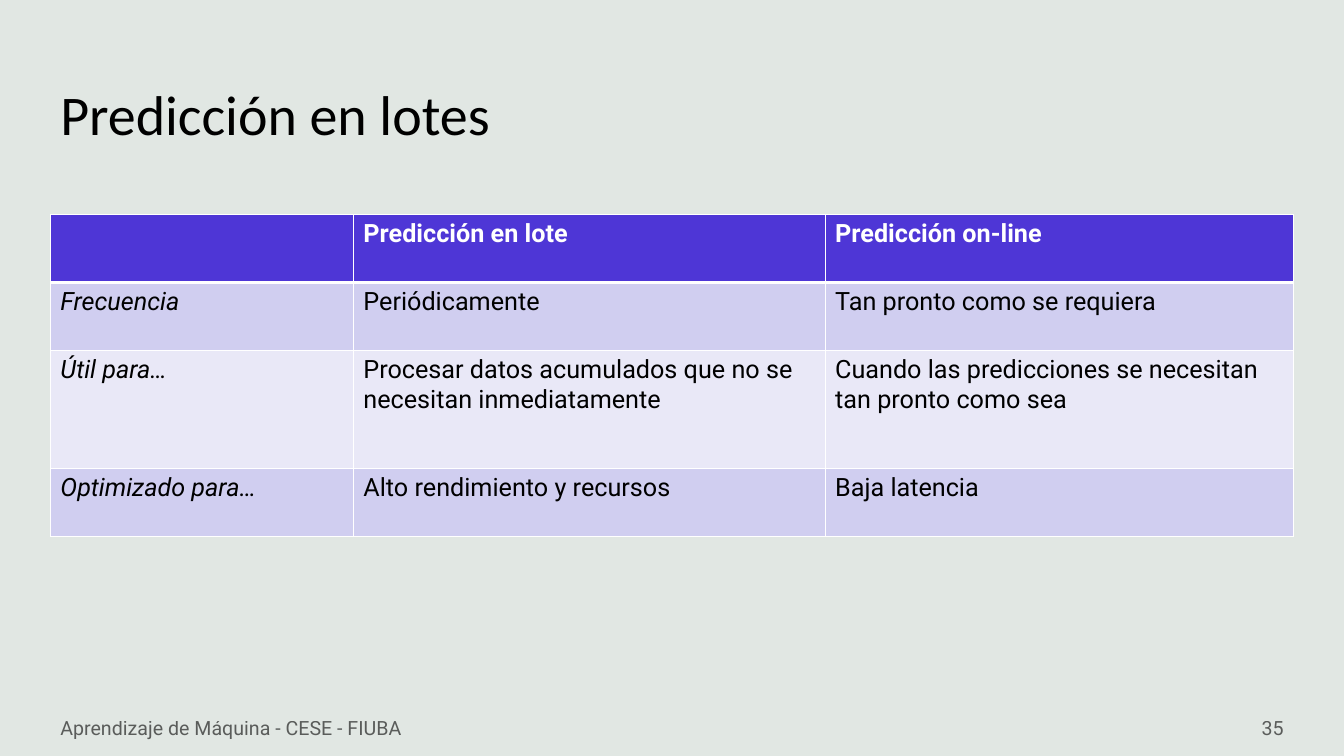
from lxml import etree
from pptx import Presentation
from pptx.dml.color import RGBColor
from pptx.enum.shapes import MSO_SHAPE as SHAPE
from pptx.enum.text import MSO_ANCHOR as ANCHOR, PP_ALIGN as ALIGN
from pptx.oxml.ns import qn
from pptx.util import Pt

BLACK = RGBColor(0x00, 0x00, 0x00)
WHITE = RGBColor(0xFF, 0xFF, 0xFF)
SAGE = RGBColor(0xD5, 0xDE, 0xD8)
VIOLET = RGBColor(0x4E, 0x36, 0xD6)
LILAC = RGBColor(0xD0, 0xCE, 0xF0)
PALE_LILAC = RGBColor(0xE9, 0xE8, 0xF7)


def set_alpha(element, percent):
    """Make the solid colour inside the element partly transparent."""
    color = next(element.iter(qn("a:srgbClr")))
    etree.SubElement(color, qn("a:alpha"), val=str(percent * 1000))


def write(tf, text, size, font, color, bold=False, italic=False):
    p = tf.paragraphs[0]
    r = p.add_run()
    r.text = text
    r.font.color.rgb = color
    style = {"size": Pt(size), "name": font, "bold": bold, "italic": italic}
    for name, value in style.items():
        setattr(r.font, name, value)
    return p, r


prs = Presentation()
prs.slide_width, prs.slide_height = Pt(960), Pt(540)
s = prs.slides.add_slide(prs.slide_layouts[6])

# Background tint
tint = s.shapes.add_shape(SHAPE.RECTANGLE, 0, 0, prs.slide_width, prs.slide_height)
tint.shadow.inherit = False
tint.fill.solid()
tint.fill.fore_color.rgb = SAGE
tint.line.fill.background()
set_alpha(tint.fill._xPr, 70)

# Title and footer: text, box, size, font, alignment, opacity
texts = [
    ("Predicción en lotes", (36, 28.8, 858, 104.4), 40, "Calibri", ALIGN.LEFT, 100),
    ("Aprendizaje de Máquina - CESE - FIUBA", (36, 505.6, 324, 28.8), 14, "Roboto", ALIGN.LEFT, 60),
    ("35", (708, 505.6, 216, 28.8), 14, "Roboto", ALIGN.RIGHT, 60),
]
for text, box, size, font, align, opacity in texts:
    tf = s.shapes.add_textbox(*map(Pt, box)).text_frame
    tf.word_wrap = True
    tf.vertical_anchor = ANCHOR.MIDDLE
    p, r = write(tf, text, size, font, BLACK)
    p.alignment = align
    if opacity < 100:
        set_alpha(r.font._element, opacity)

# Comparison table
rows = [
    ("", "Predicción en lote", "Predicción on-line"),
    ("Frecuencia", "Periódicamente", "Tan pronto como se requiera"),
    ("Útil para…", "Procesar datos acumulados que no se necesitan inmediatamente",
     "Cuando las predicciones se necesitan tan pronto como sea"),
    ("Optimizado para…", "Alto rendimiento y recursos", "Baja latencia"),
]
col_widths = [216.4, 337, 334.4]
row_heights = [48.6, 48.6, 84, 48.6]
row_fills = [VIOLET, LILAC, PALE_LILAC, LILAC]

table = s.shapes.add_table(len(rows), len(col_widths), Pt(36), Pt(153.2),
                           Pt(sum(col_widths)), Pt(sum(row_heights))).table
for column, width in zip(table.columns, col_widths):
    column.width = Pt(width)
for i, row in enumerate(rows):
    table.rows[i].height = Pt(row_heights[i])
    for j, text in enumerate(row):
        cell = table.cell(i, j)
        header = i == 0
        if text:
            write(cell.text_frame, text, 18, "Roboto", WHITE if header else BLACK,
                  bold=header, italic=j == 0)
        tcPr = cell._tc.get_or_add_tcPr()
        for side in ("lnL", "lnR", "lnT", "lnB"):
            heavy = (i, side) in ((0, "lnB"), (1, "lnT"))
            ln = etree.SubElement(tcPr, qn(f"a:{side}"), w=str(Pt(3 if heavy else 1)))
            fill = etree.SubElement(ln, qn("a:solidFill"))
            etree.SubElement(fill, qn("a:srgbClr"), val=str(WHITE))
        cell.fill.solid()
        cell.fill.fore_color.rgb = row_fills[i]

prs.save("out.pptx")
